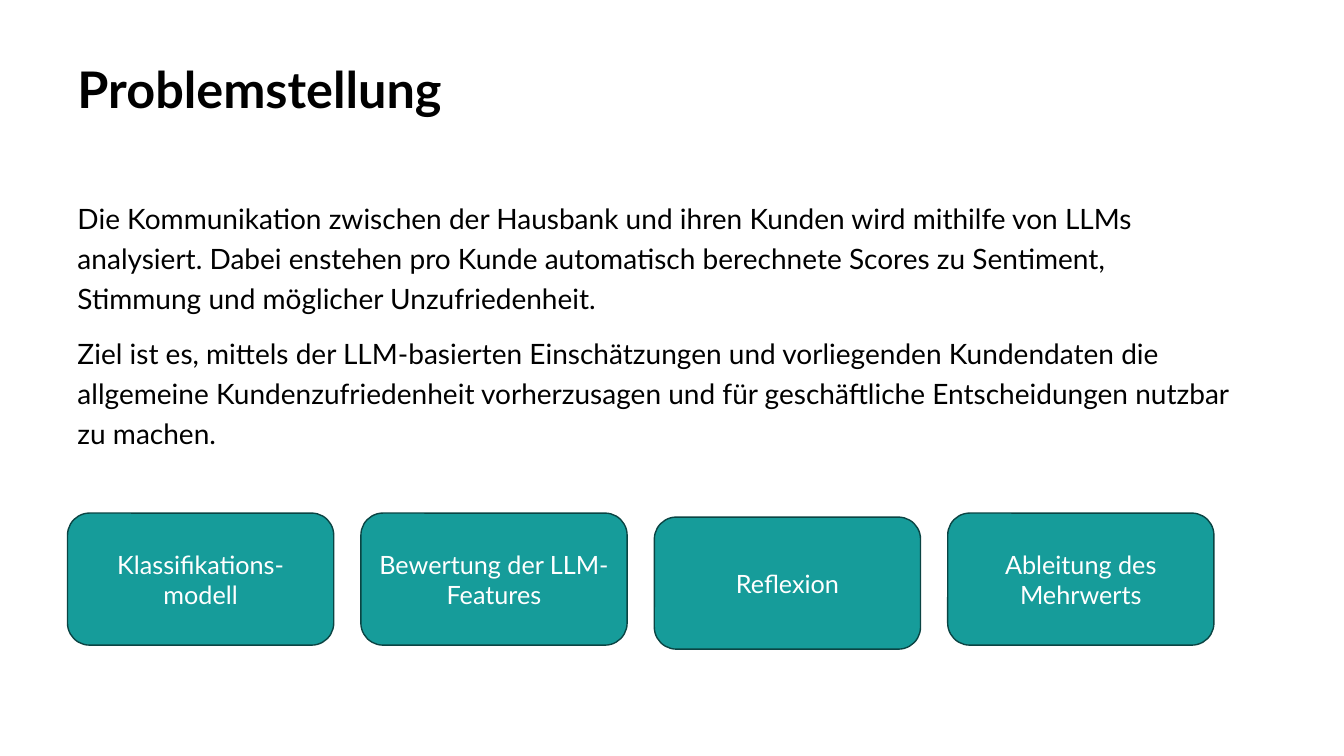
from dataclasses import dataclass

from pptx import Presentation
from pptx.dml.color import RGBColor
from pptx.enum.shapes import MSO_SHAPE as Shape
from pptx.enum.text import MSO_ANCHOR as Anchor, PP_ALIGN as Align
from pptx.util import Inches, Pt

COLORS = {"text": "000000", "white": "FFFFFF", "teal": "169C9A", "border": "0A4443"}
FONT = "Lato"
CARD_LEFT, CARD_PITCH = 0.67, 2.91
CARD_WIDTH, CARD_HEIGHT = 2.64, 1.31


@dataclass
class TextBlock:
    paragraphs: list[str]
    top: float
    height: float
    size: int
    spacing: float
    before: int = 0
    bold: bool = False


@dataclass
class Card:
    label: str
    top: float = 5.09


BLOCKS = [
    TextBlock(["Problemstellung"], 0.6, 1.24, 36, 0.9, bold=True),
    TextBlock(
        [
            "Die Kommunikation zwischen der Hausbank und ihren Kunden wird mithilfe "
            "von LLMs analysiert. Dabei enstehen pro Kunde automatisch berechnete "
            "Scores zu Sentiment, Stimmung und möglicher Unzufriedenheit.",
            "Ziel ist es, mittels der LLM-basierten Einschätzungen und vorliegenden "
            "Kundendaten die allgemeine Kundenzufriedenheit vorherzusagen und für "
            "geschäftliche Entscheidungen nutzbar zu machen.",
        ],
        1.88, 5.02, 20, 1.2, before=10,
    ),
]
CARDS = [
    Card("Klassifikations-modell"),
    Card("Bewertung der LLM-Features"),
    Card("Reflexion", top=5.13),
    Card("Ableitung des Mehrwerts"),
]


def rgb(name: str) -> RGBColor:
    return RGBColor.from_string(COLORS[name])


def write(tf, paragraphs: list[str], *, size: int, color: str = "text",
          bold: bool = False, align=Align.LEFT, anchor=Anchor.TOP,
          spacing: float = 1.0, before: int = 0) -> None:
    tf.word_wrap = True
    tf.vertical_anchor = anchor
    for i, text in enumerate(paragraphs):
        p = tf.add_paragraph() if i else tf.paragraphs[0]
        p.alignment = align
        p.line_spacing = spacing
        p.space_before = Pt(before)
        r = p.add_run()
        r.text = text
        r.font.name = FONT
        r.font.size = Pt(size)
        r.font.bold = bold
        r.font.color.rgb = rgb(color)


def add_block(slide, block: TextBlock) -> None:
    sp = slide.shapes.add_textbox(Inches(0.67), Inches(block.top),
                                  Inches(11.65), Inches(block.height))
    write(sp.text_frame, block.paragraphs, size=block.size, bold=block.bold,
          spacing=block.spacing, before=block.before)


def add_card(slide, card: Card, column: int) -> None:
    sp = slide.shapes.add_shape(
        Shape.ROUNDED_RECTANGLE, Inches(CARD_LEFT + column * CARD_PITCH),
        Inches(card.top), Inches(CARD_WIDTH), Inches(CARD_HEIGHT))
    sp.shadow.inherit = False
    sp.fill.solid()
    sp.fill.fore_color.rgb = rgb("teal")
    sp.line.color.rgb = rgb("border")
    sp.line.width = Pt(1)
    write(sp.text_frame, [card.label], size=18, color="white",
          align=Align.CENTER, anchor=Anchor.MIDDLE)


def main() -> None:
    prs = Presentation()
    prs.slide_width, prs.slide_height = Inches(13.33), Inches(7.5)
    slide = prs.slides.add_slide(prs.slide_layouts[6])
    for block in BLOCKS:
        add_block(slide, block)
    for column, card in enumerate(CARDS):
        add_card(slide, card, column)
    prs.save("out.pptx")


if __name__ == "__main__":
    main()
